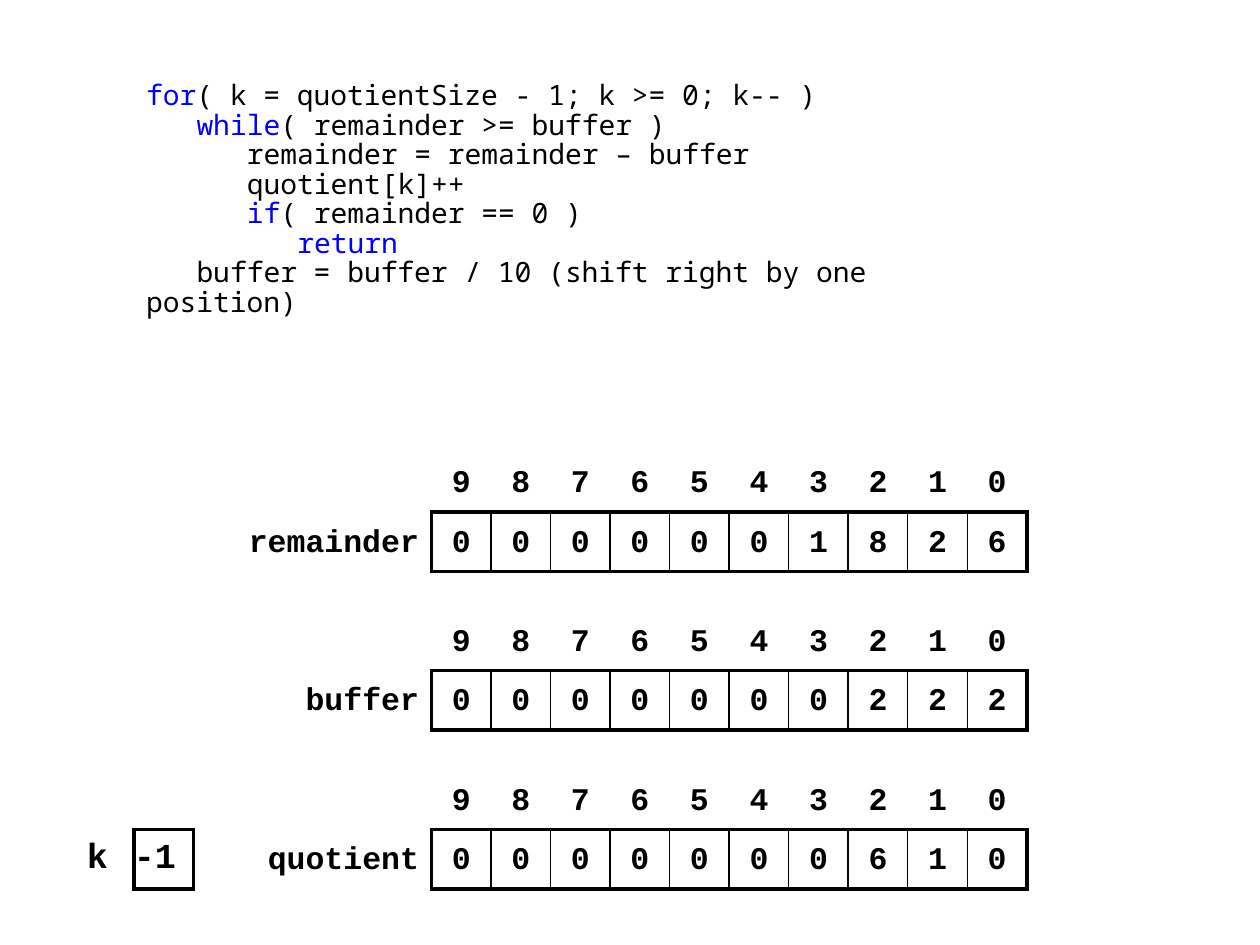
from dataclasses import dataclass

from lxml import etree
from pptx import Presentation
from pptx.dml.color import RGBColor
from pptx.enum.text import MSO_ANCHOR, MSO_AUTO_SIZE, PP_ALIGN
from pptx.oxml.ns import qn
from pptx.util import Inches, Pt

LEFT, CENTER, RIGHT = PP_ALIGN.LEFT, PP_ALIGN.CENTER, PP_ALIGN.RIGHT
TOP, MIDDLE = MSO_ANCHOR.TOP, MSO_ANCHOR.MIDDLE
NO_AUTOFIT = MSO_AUTO_SIZE.NONE
TITLE_AND_CONTENT = 1
NO_STYLE_NO_GRID = "{2D5ABB26-0587-4C30-8999-92F81FD0307C}"


@dataclass(frozen=True)
class Theme:
    """Colours, fonts, type sizes and line widths of the slide."""
    ink: str = "000000"
    keyword: str = "0000FF"
    code_font: str = "Noto Sans Mono"
    table_font: str = "Courier New"
    code_size: float = 16
    digit_size: float = 18
    counter_size: float = 20
    thick: float = 2.25
    thin: float = 1


T = Theme()

# Grid in inches: square digit cells, tables repeated down the slide
CELL = 0.4725
LABEL = CELL * 10 / 3
TABLE_LEFT, TABLE_TOP, TABLE_STEP = 1.85, 3.59, 1.26
COUNTER_LEFT = 0.59
CODE_INDENT = 0.4

# Each line: depth, keyword, rest
CODE = [
    (0, "for", "( k = quotientSize - 1; k >= 0; k-- )"),
    (1, "while", "( remainder >= buffer )"),
    (2, "", "remainder = remainder – buffer"),
    (2, "", "quotient[k]++"),
    (2, "if", "( remainder == 0 )"),
    (3, "return", ""),
    (1, "", "buffer = buffer / 10 (shift right by one position)"),
]
REGISTERS = [
    ("remainder", "0000001826"),
    ("buffer", "0000000222"),
    ("quotient", "0000000610"),
]


def add_run(p, text, *, font, size, color=T.ink, bold=False):
    """Append formatted text to a paragraph."""
    r = p.add_run()
    r.text = text
    r.font.name, r.font.size, r.font.bold = font, Pt(size), bold
    r.font.color.rgb = RGBColor.from_string(color)


def fill_code(body):
    """Place the body placeholder and write the code listing into it."""
    body.left, body.top = Inches(1.06), Inches(0.6)
    body.width, body.height = Inches(7.25), Inches(2.52)
    tf = body.text_frame
    tf.word_wrap, tf.auto_size, tf.vertical_anchor = True, NO_AUTOFIT, TOP
    for i, (depth, keyword, rest) in enumerate(CODE):
        p = tf.add_paragraph() if i else tf.paragraphs[0]
        p.alignment, p.line_spacing = LEFT, 0.88
        p.space_before = p.space_after = Pt(0)
        pPr = p._p.get_or_add_pPr()
        pPr.set("marL", "0")
        pPr.set("indent", str(Inches(depth * CODE_INDENT)))
        etree.SubElement(pPr, qn("a:buNone"))
        for text, color in ((keyword, T.keyword), (rest, T.ink)):
            if text:
                add_run(p, text, font=T.code_font, size=T.code_size, color=color)


def add_grid(s, left, top, widths, rows):
    """Add an unstyled table with the given column widths."""
    frame = s.shapes.add_table(rows, len(widths), Inches(left), Inches(top),
                               Inches(sum(widths)), Inches(rows * CELL))
    table = frame.table
    table.first_row = table.horz_banding = False
    table._tbl.tblPr.find(qn("a:tableStyleId")).text = NO_STYLE_NO_GRID
    for column, width in zip(table.columns, widths):
        column.width = Inches(width)
    for row in table.rows:
        row.height = Inches(CELL)
    return table


def set_borders(cell, **widths):
    """Draw the named sides (L, R, T, B) at widths in points."""
    tcPr = cell._tc.get_or_add_tcPr()
    for side in "LRTB":
        if side in widths:
            ln = etree.SubElement(tcPr, qn("a:ln" + side), w=str(Pt(widths[side])))
            fill = etree.SubElement(ln, qn("a:solidFill"))
            etree.SubElement(fill, qn("a:srgbClr"), val=T.ink)


def fill_cell(cell, text="", *, size=T.digit_size, align=CENTER, spacing=1.25,
              anchor=TOP, inset=0.1, **borders):
    """Write bold text into a cell and draw its borders."""
    set_borders(cell, **borders)
    cell.fill.background()
    cell.vertical_anchor = anchor
    cell.margin_left = cell.margin_right = Inches(inset)
    cell.margin_top = cell.margin_bottom = Inches(0.04)
    p = cell.text_frame.paragraphs[0]
    p.alignment, p.line_spacing = align, spacing
    if text:
        add_run(p, text, font=T.table_font, size=size, bold=True)


def add_register(s, top, name, digits):
    """Add a labelled row of digits under descending position numbers."""
    n = len(digits)
    table = add_grid(s, TABLE_LEFT, top, [LABEL] + [CELL] * n, 2)
    fill_cell(table.cell(0, 0))
    fill_cell(table.cell(1, 0), name, align=RIGHT, R=T.thick)
    for i, digit in enumerate(digits):
        fill_cell(table.cell(0, i + 1), str(n - 1 - i), B=T.thick)
        fill_cell(table.cell(1, i + 1), digit, T=T.thick, B=T.thick,
                  L=T.thin if i else T.thick,
                  R=T.thin if i < n - 1 else T.thick)


def add_counter(s, top, name, value):
    """Add a boxed loop counter with its name on the left."""
    table = add_grid(s, COUNTER_LEFT, top, [CELL, CELL], 1)
    look = dict(size=T.counter_size, align=LEFT, spacing=1.0, anchor=MIDDLE)
    fill_cell(table.cell(0, 0), name, R=T.thick, **look)
    fill_cell(table.cell(0, 1), value, inset=0, **look,
              **dict.fromkeys("LRTB", T.thick))


def main():
    """Build the slide and save it."""
    prs = Presentation()
    prs.slide_width, prs.slide_height = Inches(10), Inches(7.5)
    s = prs.slides.add_slide(prs.slide_layouts[TITLE_AND_CONTENT])
    title = s.shapes.title.element
    title.getparent().remove(title)
    fill_code(s.placeholders[1])
    for i, (name, digits) in enumerate(REGISTERS):
        add_register(s, TABLE_TOP + i * TABLE_STEP, name, digits)
    add_counter(s, TABLE_TOP + 2 * TABLE_STEP + CELL, "k", "-1")
    prs.save("out.pptx")


main()
